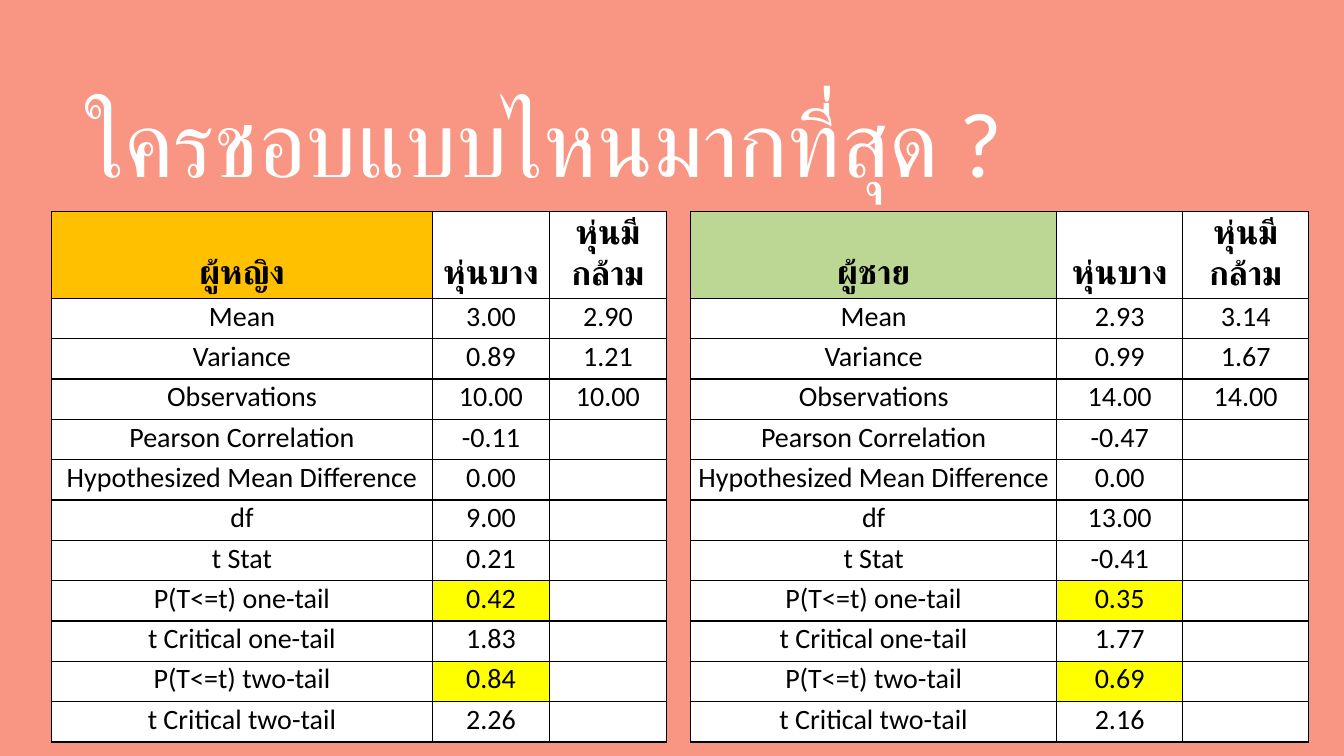
import pptx
import pptx.util
import pptx.dml.color
import pptx.enum.text
import lxml.etree

TITLE = "ใครชอบแบบไหนมากที่สุด ?"
BODY_TYPES = ["หุ่นบาง", "หุ่นมีกล้าม"]
MEASURES = ["Mean", "Variance", "Observations", "Pearson Correlation",
            "Hypothesized Mean Difference", "df", "t Stat", "P(T<=t) one-tail",
            "t Critical one-tail", "P(T<=t) two-tail", "t Critical two-tail"]
P_VALUES = {"P(T<=t) one-tail", "P(T<=t) two-tail"}
GROUPS = [
    {"name": "ผู้ชาย", "color": "men", "left": 6.85, "cols": [3.63, 1.25, 1.25],
     "slim": ["2.93", "0.99", "14.00", "-0.47", "0.00", "13.00", "-0.41",
              "0.35", "1.77", "0.69", "2.16"],
     "muscular": ["3.14", "1.67", "14.00"]},
    {"name": "ผู้หญิง", "color": "women", "left": 0.51, "cols": [3.78, 1.16, 1.16],
     "slim": ["3.00", "0.89", "10.00", "-0.11", "0.00", "9.00", "0.21",
              "0.42", "1.83", "0.84", "2.26"],
     "muscular": ["2.90", "1.21", "10.00"]},
]
COLORS = {"background": "F89583", "men": "BCD694", "women": "FFC000",
          "highlight": "FFFF00", "white": "FFFFFF", "black": "000000"}
FONT = "Calibri"
TABLE_TOP, HEADER_H, ROW_H = 2.1, 0.72, 0.4

Inches, Pt = pptx.util.Inches, pptx.util.Pt
ANCHOR = pptx.enum.text.MSO_ANCHOR
NS = "http://schemas.openxmlformats.org/drawingml/2006/main"


def rgb(name):
    return pptx.dml.color.RGBColor.from_string(COLORS[name])


def style(p, size, color, bold=False):
    for r in p.runs:
        r.font.name, r.font.size, r.font.bold = FONT, Pt(size), bold
        r.font.color.rgb = rgb(color)
        cs = lxml.etree.SubElement(r.font._element, f"{{{NS}}}cs")
        cs.set("typeface", FONT)


def add_borders(cell):
    tcPr = cell._tc.get_or_add_tcPr()
    for i, side in enumerate(("lnL", "lnR", "lnT", "lnB")):
        ln = lxml.etree.Element(f"{{{NS}}}{side}", w=str(Pt(1)))
        fill = lxml.etree.SubElement(ln, f"{{{NS}}}solidFill")
        lxml.etree.SubElement(fill, f"{{{NS}}}srgbClr", val=COLORS["black"])
        tcPr.insert(i, ln)


def fill_cell(cell, text, size, color, bold):
    cell.margin_left = cell.margin_right = cell.margin_top = Inches(0.01)
    cell.margin_bottom = Inches(0.05)
    cell.vertical_anchor = ANCHOR.BOTTOM
    cell.fill.solid()
    cell.fill.fore_color.rgb = rgb(color)
    add_borders(cell)
    p = cell.text_frame.paragraphs[0]
    p.text = text
    p.alignment = pptx.enum.text.PP_ALIGN.CENTER
    style(p, size, "black", bold)


def add_group(s, group):
    muscular = group["muscular"] + [""] * (len(MEASURES) - len(group["muscular"]))
    rows = [[group["name"], *BODY_TYPES], *zip(MEASURES, group["slim"], muscular)]
    heights = [HEADER_H] + [ROW_H] * len(MEASURES)
    table = s.shapes.add_table(
        len(rows), len(group["cols"]), Inches(group["left"]), Inches(TABLE_TOP),
        Inches(sum(group["cols"])), Inches(sum(heights))).table
    for col, width in zip(table.columns, group["cols"]):
        col.width = Inches(width)
    for i, (row, height) in enumerate(zip(rows, heights)):
        table.rows[i].height = Inches(height)
        for j, text in enumerate(row):
            color = "white"
            if i == 0 and j == 0:
                color = group["color"]
            elif j == 1 and row[0] in P_VALUES:
                color = "highlight"
            fill_cell(table.cell(i, j), text, 24 if i == 0 else 20, color, i == 0)


def main():
    prs = pptx.Presentation()
    prs.slide_width, prs.slide_height = Inches(13.33), Inches(7.5)
    s = prs.slides.add_slide(prs.slide_layouts[6])
    s.background.fill.solid()
    s.background.fill.fore_color.rgb = rgb("background")

    tf = s.shapes.add_textbox(Inches(0.75), Inches(0.67), Inches(11.08), Inches(1.59)).text_frame
    tf.word_wrap = True
    tf.vertical_anchor = ANCHOR.MIDDLE
    tf.text = TITLE
    tf.paragraphs[0].line_spacing = 0.9
    style(tf.paragraphs[0], 66, "white")

    for group in GROUPS:
        add_group(s, group)
    prs.save("out.pptx")


if __name__ == "__main__":
    main()
